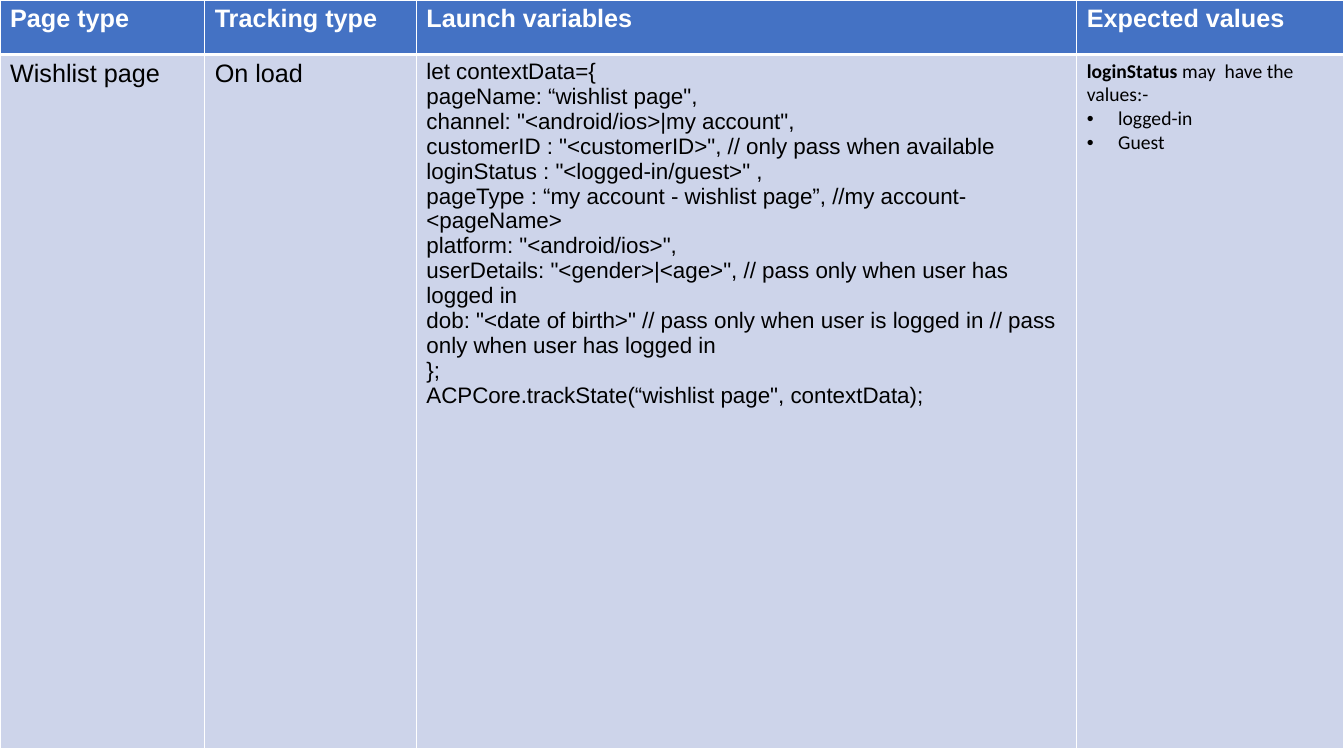
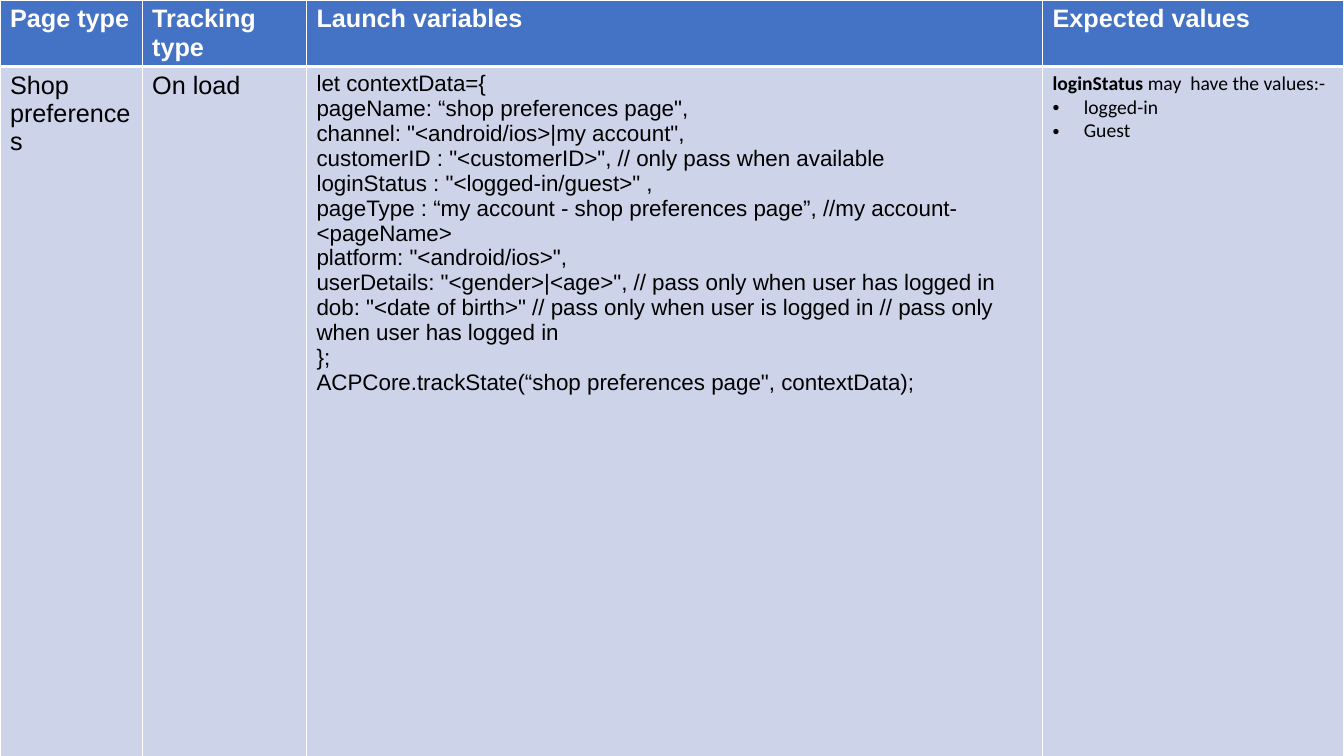
from lxml import etree
from pptx import Presentation
from pptx.dml.color import RGBColor
from pptx.oxml.ns import qn
from pptx.util import Inches, Pt

COLOURS = {"header": "4472C4", "body": "CDD4EA", "border": "FFFFFF",
           "header_text": "FFFFFF", "body_text": "000000"}
HEADER_FORMAT = {"name": "Arial", "size": Pt(18), "bold": True}
LABEL_FORMAT = {"name": "Arial", "size": Pt(18), "bold": False}
CODE_FORMAT = {"name": "Arial", "size": Pt(16), "bold": False}
VALUE_FORMAT = {"name": "Calibri", "size": Pt(14), "bold": False}
VALUE_NAME_FORMAT = {**VALUE_FORMAT, "bold": True}

HEADER_BORDERS = {"L": 1, "R": 1, "T": 1, "B": 3}
BODY_BORDERS = {"L": 1, "R": 1, "T": 3, "B": 1}
HEADINGS = ["Page type", "Tracking type", "Launch variables", "Expected values"]
ROW_HEIGHTS = [0.54, 6.89]
BULLET_INDENT = Inches(0.31)

PAGES = [
    {"label": "Wishlist page", "page_name": "wishlist page",
     "widths": [2.03, 2.1, 6.55, 2.65]},
    {"label": "Shop preferences", "page_name": "shop preferences page",
     "widths": [1.41, 1.63, 7.3, 2.99]},
]


def launch_code(page_name):
    return [
        'let contextData={',
        f'pageName: “{page_name}",',
        'channel: "<android/ios>|my account",',
        'customerID : "<customerID>", // only pass when available',
        'loginStatus : "<logged-in/guest>" ,',
        f'pageType : “my account - {page_name}”, //my account-<pageName>',
        'platform: "<android/ios>",',
        'userDetails: "<gender>|<age>", // pass only when user has logged in',
        'dob: "<date of birth>" // pass only when user is logged in'
        ' // pass only when user has logged in',
        '};',
        f'ACPCore.trackState(“{page_name}", contextData);',
    ]


def style_cell(cell, fill, borders):
    properties = cell._tc.get_or_add_tcPr()
    for side, width in borders.items():
        line = etree.SubElement(properties, qn(f"a:ln{side}"), w=str(Pt(width)))
        line_fill = etree.SubElement(line, qn("a:solidFill"))
        etree.SubElement(line_fill, qn("a:srgbClr"), val=COLOURS["border"])
    cell.fill.solid()
    cell.fill.fore_color.rgb = RGBColor.from_string(COLOURS[fill])


def add_bullet(paragraph):
    properties = paragraph._p.get_or_add_pPr()
    properties.set("marL", str(BULLET_INDENT))
    properties.set("indent", str(-BULLET_INDENT))
    bullet_colour = etree.SubElement(properties, qn("a:buClr"))
    etree.SubElement(bullet_colour, qn("a:srgbClr"), val=COLOURS["body_text"])
    etree.SubElement(properties, qn("a:buFont"), typeface="Arial")
    etree.SubElement(properties, qn("a:buChar"), char="•")


def add_run(paragraph, text, font_format, colour):
    run = paragraph.add_run()
    run.text = text
    for attribute, value in font_format.items():
        setattr(run.font, attribute, value)
    run.font.color.rgb = RGBColor.from_string(COLOURS[colour])


def write_lines(cell, lines, font_format, colour="body_text"):
    frame = cell.text_frame
    for index, line in enumerate(lines):
        paragraph = frame.add_paragraph() if index else frame.paragraphs[0]
        add_run(paragraph, line, font_format, colour)


def write_expected_values(cell):
    frame = cell.text_frame
    introduction = frame.paragraphs[0]
    add_run(introduction, "loginStatus ", VALUE_NAME_FORMAT, "body_text")
    add_run(introduction, "may  have the values:-", VALUE_FORMAT, "body_text")
    for value in ["logged-in", "Guest"]:
        paragraph = frame.add_paragraph()
        add_bullet(paragraph)
        add_run(paragraph, value, VALUE_FORMAT, "body_text")


def add_tracking_table(slide, left, top, page):
    widths = page["widths"]
    table = slide.shapes.add_table(
        len(ROW_HEIGHTS), len(HEADINGS), Inches(left), Inches(top),
        Inches(sum(widths)), Inches(sum(ROW_HEIGHTS))).table
    for column, width in zip(table.columns, widths):
        column.width = Inches(width)
    for row, height in zip(table.rows, ROW_HEIGHTS):
        row.height = Inches(height)

    header_cells, body_cells = (list(row.cells) for row in table.rows)
    for cell, heading in zip(header_cells, HEADINGS):
        style_cell(cell, "header", HEADER_BORDERS)
        write_lines(cell, [heading], HEADER_FORMAT, "header_text")
    for cell in body_cells:
        style_cell(cell, "body", BODY_BORDERS)

    label_cell, trigger_cell, code_cell, values_cell = body_cells
    write_lines(label_cell, [page["label"]], LABEL_FORMAT)
    write_lines(trigger_cell, ["On load"], LABEL_FORMAT)
    write_lines(code_cell, launch_code(page["page_name"]), CODE_FORMAT)
    write_expected_values(values_cell)


def main():
    presentation = Presentation()
    presentation.slide_width = Inches(13.33)
    presentation.slide_height = Inches(7.5)
    blank_layout = presentation.slide_layouts[6]
    for page in PAGES:
        slide = presentation.slides.add_slide(blank_layout)
        add_tracking_table(slide, 0, 0, page)
    presentation.save("out.pptx")


if __name__ == "__main__":
    main()
